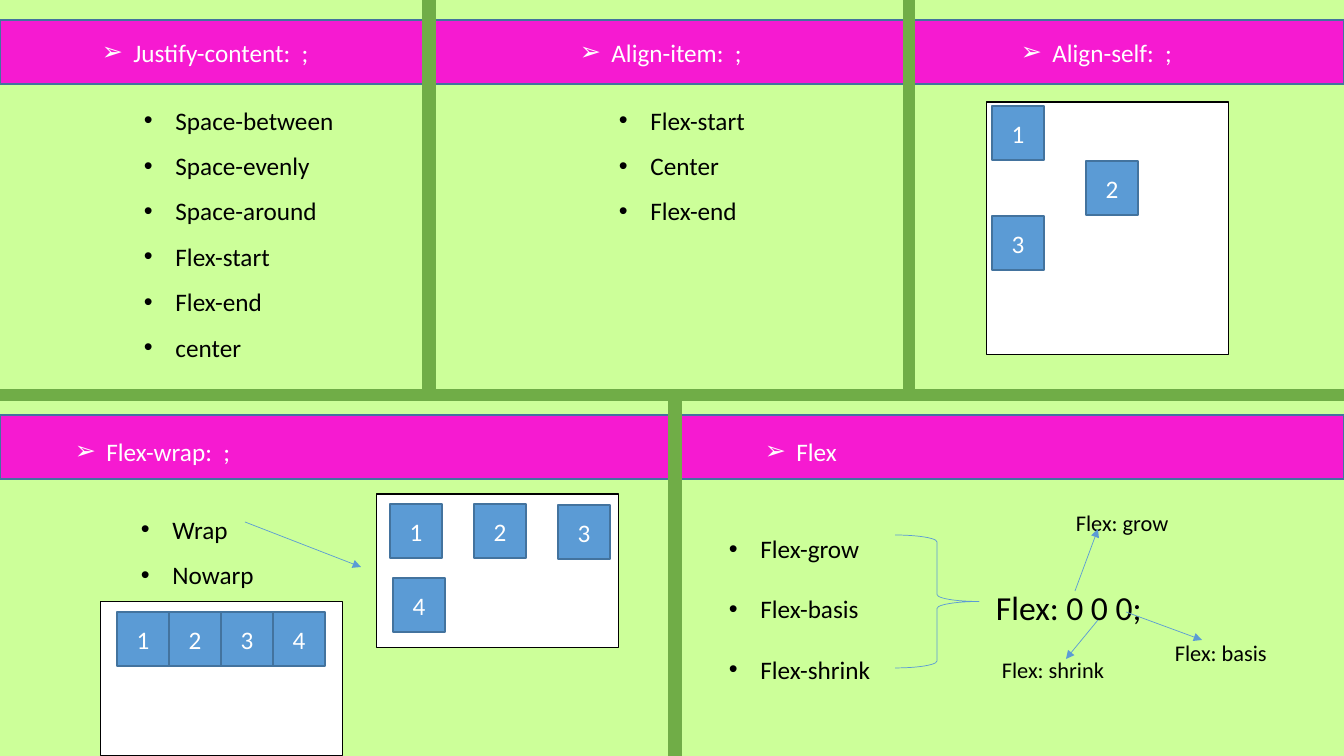
"""Build a one-slide overview of the CSS flexbox properties."""
import itertools

import pptx
import pptx.dml.color
import pptx.enum.shapes
import pptx.enum.text
import pptx.oxml
import pptx.oxml.ns
import pptx.util

PX = 914400 / 100.8
WIDTH, HEIGHT = 1344, 756
FONT = "Calibri"
LIME, PINK, GREEN, BLUE, NAVY = "CCFF99", "F61AD1", "70AD47", "5B9BD5", "43739E"
WHITE, BLACK = "FFFFFF", "000000"

BAR_TOPS, BAR_HEIGHT = (20, 415), 64
HEADINGS = [
    ("Justify-content:  ;", 92, 32, 258),
    ("Align-item:  ;", 570, 32, 201),
    ("Align-self:  ;", 1011, 32, 230),
    ("Flex-wrap:  ;", 65, 431, 230),
    ("Flex", 755, 431, 131),
]
LISTS = [
    (["Space-between", "Space-evenly", "Space-around", "Flex-start", "Flex-end", "center"],
     (134, 85, 226, 285), 1.5),
    (["Flex-start", "Center", "Flex-end"], (609, 85, 224, 147), 1.5),
    (["Wrap", "Nowarp"], (131, 494, 192, 102), 1.5),
    (["Flex-grow", "Flex-basis", "Flex-shrink"], (719, 498, 218, 194), 2.0),
]
COLUMN_EDGES = (0, 423, 435, 904, 914, WIDTH)
SPLIT_TOP, SPLIT_HEIGHT = 390, 10
LOWER_DIVIDER = (669, 12)
TILE_WIDTH, TILE_HEIGHT = 52, 54
TRAYS = [
    ((987, 102, 242, 253), [(992, 106), (1086, 161), (992, 216)]),
    ((377, 494, 242, 154), [(390, 504), (474, 504), (558, 505), (393, 578)]),
    ((101, 602, 242, 154), [(117 + TILE_WIDTH * i, 612) for i in range(4)]),
]
BRACE = (895, 535, 84, 133)
LABELS = [
    ("Flex: 0 0 0;", (986, 582, 193, 50), 24),
    ("Flex: grow", (1066, 504, 145, 37), 16),
    ("Flex: shrink", (992, 651, 145, 37), 16),
    ("Flex: basis", (1165, 634, 145, 37), 16),
]
ARROWS = [
    (245, 522, 361, 567),
    (1075, 591, 1098, 529),
    (1098, 620, 1066, 659),
    (1126, 612, 1202, 640),
]


def emu(lengths):
    return [round(length * PX) for length in lengths]


def color(value):
    return pptx.dml.color.RGBColor.from_string(value)


def add_child(parent, tag, **attributes):
    child = pptx.oxml.parse_xml(f"<a:{tag} {pptx.oxml.ns.nsdecls('a')}/>")
    for name, value in attributes.items():
        child.set(name, value)
    parent.append(child)


def style_runs(frame, size, ink):
    for para in frame.paragraphs:
        for span in para.runs:
            span.font.size = pptx.util.Pt(size)
            span.font.name = FONT
            span.font.color.rgb = color(ink)


def add_box(slide, place, fill, line, weight=1, kind="RECTANGLE"):
    preset = getattr(pptx.enum.shapes.MSO_SHAPE, kind)
    box = slide.shapes.add_shape(preset, *emu(place))
    box.shadow.inherit = False
    if fill:
        box.fill.solid()
        box.fill.fore_color.rgb = color(fill)
    else:
        box.fill.background()
    box.line.color.rgb = color(line)
    box.line.width = pptx.util.Pt(weight)
    return box


def add_text(slide, lines, place, size, ink, bullet=None, spacing=None):
    frame = slide.shapes.add_textbox(*emu(place)).text_frame
    frame.word_wrap = True
    frame.auto_size = pptx.enum.text.MSO_AUTO_SIZE.SHAPE_TO_FIT_TEXT
    frame.text = "\n".join(lines)
    style_runs(frame, size, ink)
    for para in frame.paragraphs:
        if spacing:
            para.line_spacing = spacing
        if bullet:
            properties = para._p.get_or_add_pPr()
            properties.set("marL", "285750")
            properties.set("indent", "-285750")
            add_child(properties, "buFont", typeface="Arial")
            add_child(properties, "buChar", char=bullet)


def add_tile(slide, number, left, top):
    box = add_box(slide, (left, top, TILE_WIDTH, TILE_HEIGHT), BLUE, NAVY)
    frame = box.text_frame
    frame.text = str(number)
    frame.vertical_anchor = pptx.enum.text.MSO_ANCHOR.MIDDLE
    frame.paragraphs[0].alignment = pptx.enum.text.PP_ALIGN.CENTER
    style_runs(frame, 18, WHITE)


def add_arrow(slide, ends):
    straight = pptx.enum.shapes.MSO_CONNECTOR.STRAIGHT
    arrow = slide.shapes.add_connector(straight, *emu(ends))
    arrow.line.color.rgb = color(BLUE)
    arrow.line.width = pptx.util.Pt(0.5)
    add_child(arrow.line._get_or_add_ln(), "tailEnd", type="triangle")
    add_child(arrow._element.spPr, "effectLst")


def add_dividers(slide):
    for index, (left, right) in enumerate(itertools.pairwise(COLUMN_EDGES)):
        width = right - left
        add_box(slide, (left, SPLIT_TOP, width, SPLIT_HEIGHT), GREEN, GREEN)
        if index % 2:
            add_box(slide, (left, 0, width, SPLIT_TOP), GREEN, GREEN)
    left, width = LOWER_DIVIDER
    top = SPLIT_TOP + SPLIT_HEIGHT
    add_box(slide, (left, top, width, HEIGHT - top), GREEN, GREEN)


def main():
    deck = pptx.Presentation()
    deck.slide_width, deck.slide_height = emu((WIDTH, HEIGHT))
    slide = deck.slides.add_slide(deck.slide_layouts[6])
    slide.background.fill.solid()
    slide.background.fill.fore_color.rgb = color(LIME)

    for top in BAR_TOPS:
        add_box(slide, (0, top, WIDTH, BAR_HEIGHT), PINK, NAVY)
    for heading, left, top, width in HEADINGS:
        add_text(slide, [heading], (left, top, width, 40), 18, WHITE, "➢")
    for lines, place, spacing in LISTS:
        add_text(slide, lines, place, 18, BLACK, "•", spacing)
    add_dividers(slide)
    for place, tiles in TRAYS:
        add_box(slide, place, WHITE, BLACK, 0.75)
        for number, (left, top) in enumerate(tiles, 1):
            add_tile(slide, number, left, top)
    add_box(slide, BRACE, None, BLUE, 0.5, "RIGHT_BRACE")
    for label, place, size in LABELS:
        add_text(slide, [label], place, size, BLACK)
    for ends in ARROWS:
        add_arrow(slide, ends)
    deck.save("out.pptx")


if __name__ == "__main__":
    main()
